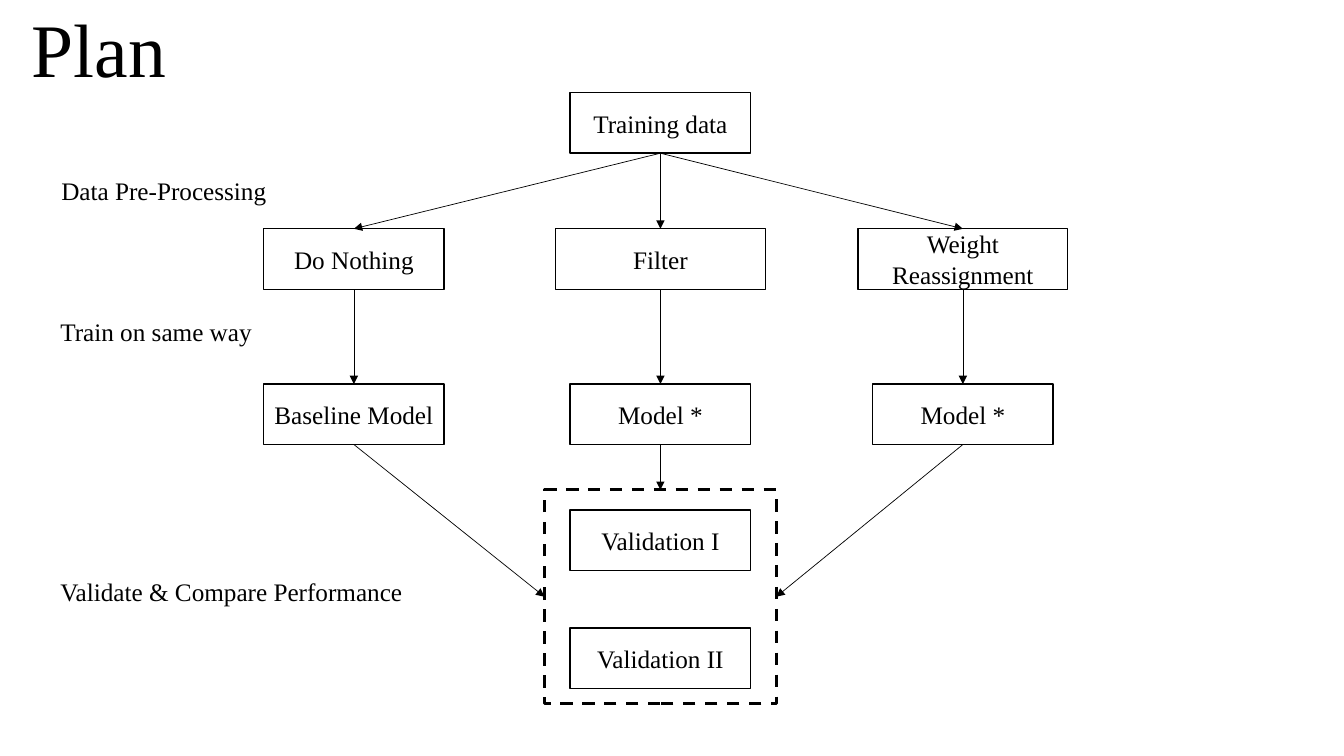
from dataclasses import dataclass

from lxml import etree
from pptx import Presentation
from pptx import util as u
from pptx.dml.color import RGBColor
from pptx.enum import dml, shapes, text
from pptx.oxml.ns import qn

HUE = {"ink": "000000"}
INK = RGBColor.from_string(HUE["ink"])
FACE = "Times New Roman"
SLIM, WIDE, TALL = 1.79, 2.08, 0.6
LEFT, MID, RIGHT = 3.51, 6.55, 9.55  # column centres


@dataclass
class Box:
    label: str
    mid: float
    top: float
    width: float = SLIM
    high: float = TALL
    line: float = 1

    @property
    def head(self) -> tuple[float, float]:
        return self.mid, self.top

    @property
    def foot(self) -> tuple[float, float]:
        return self.mid, self.top + self.high

    def side(self, sign: int) -> tuple[float, float]:
        return self.mid + sign * self.width / 2, self.top + self.high / 2


@dataclass
class Note:
    label: str
    left: float
    top: float
    width: float


def style(frame, words: str, size: float, align, **form) -> None:
    """Write one paragraph and format its frame."""
    frame.text = words
    for key, value in form.items():
        setattr(frame, key, value)
    para = frame.paragraphs[0]
    para.alignment = align
    for key, value in {"name": FACE, "size": u.Pt(size)}.items():
        setattr(para.font, key, value)
    para.font.color.rgb = INK


def draw_box(slide, box: Box):
    spot = (box.mid - box.width / 2, box.top, box.width, box.high)
    rect = slide.shapes.add_shape(
        shapes.MSO_SHAPE.RECTANGLE, *map(u.Inches, spot))
    rect.shadow.inherit = False
    rect.fill.background()
    rect.line.color.rgb = INK
    rect.line.width = u.Pt(box.line)
    if box.label:
        style(rect.text_frame, box.label, 18, text.PP_ALIGN.CENTER,
              word_wrap=True, vertical_anchor=text.MSO_ANCHOR.MIDDLE)
    return rect


def draw_arrow(slide, start: tuple[float, float],
               end: tuple[float, float]) -> None:
    link = slide.shapes.add_connector(
        shapes.MSO_CONNECTOR.STRAIGHT, *map(u.Inches, start + end))
    link.line.color.rgb = INK
    link.line.width = u.Pt(0.5)
    tip = etree.SubElement(link.line._get_or_add_ln(), qn("a:tailEnd"))
    tip.set("type", "triangle")
    etree.SubElement(link._element.spPr, qn("a:effectLst"))


def draw_note(slide, note: Note) -> None:
    spot = (note.left, note.top, note.width, 0.4)
    area = slide.shapes.add_textbox(*map(u.Inches, spot))
    style(area.text_frame, note.label, 18, text.PP_ALIGN.LEFT,
          word_wrap=True, auto_size=text.MSO_AUTO_SIZE.SHAPE_TO_FIT_TEXT)


def draw_title(slide, words: str) -> None:
    title = slide.shapes.title
    spot = {"left": 0, "top": 0, "width": 1.96, "height": 0.98}
    for key, value in spot.items():
        setattr(title, key, u.Inches(value))
    style(title.text_frame, words, 54, text.PP_ALIGN.CENTER,
          vertical_anchor=text.MSO_ANCHOR.BOTTOM,
          auto_size=text.MSO_AUTO_SIZE.NONE)
    title.text_frame.paragraphs[0].line_spacing = 0.9


DATA = Box("Training data", MID, 0.92)
STEPS = [Box("Do Nothing", LEFT, 2.27),
         Box("Filter", MID, 2.27, WIDE),
         Box("Weight Reassignment", RIGHT, 2.27, WIDE)]
MODELS = [Box("Baseline Model", LEFT, 3.81),
          Box("Model *", MID, 3.81),
          Box("Model *", RIGHT, 3.81)]
TESTS = [Box("Validation I", MID, 5.06),
         Box("Validation II", MID, 6.23)]
GROUP = Box("", MID, 4.86, 2.3, 2.12, 2.25)
NOTES = [Note("Data Pre-Processing", 0.51, 1.69, 2.74),
         Note("Train on same way", 0.5, 3.09, 2.74),
         Note("Validate & Compare Performance", 0.5, 5.67, 3.71)]


def main() -> None:
    deck = Presentation()
    deck.slide_width, deck.slide_height = u.Inches(13.33), u.Inches(7.5)
    slide = deck.slides.add_slide(deck.slide_layouts[5])
    draw_title(slide, "Plan")

    # Flow boxes and the dashed validation group
    for box in [DATA, *STEPS, *MODELS, *TESTS]:
        draw_box(slide, box)
    draw_box(slide, GROUP).line.dash_style = dml.MSO_LINE.DASH

    # Arrows down each column, ending at the group
    goals = [GROUP.side(-1), GROUP.head, GROUP.side(1)]
    for step, model, goal in zip(STEPS, MODELS, goals):
        draw_arrow(slide, DATA.foot, step.head)
        draw_arrow(slide, step.foot, model.head)
        draw_arrow(slide, model.foot, goal)

    # Stage notes
    for note in NOTES:
        draw_note(slide, note)

    deck.save("out.pptx")


if __name__ == "__main__":
    main()
